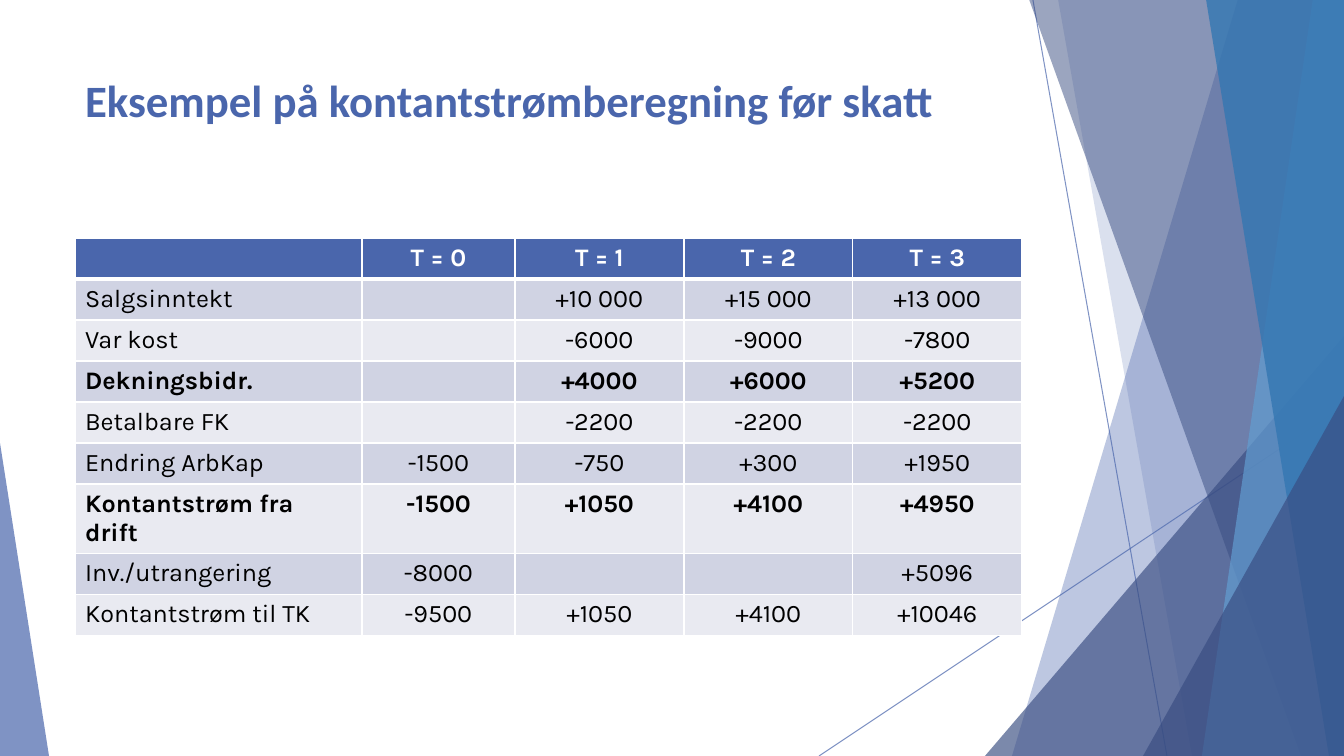
from dataclasses import dataclass

from lxml.etree import SubElement
from pptx import Presentation
from pptx.dml.color import RGBColor
from pptx.enum.shapes import MSO_CONNECTOR, MSO_SHAPE
from pptx.enum.text import MSO_ANCHOR, PP_ALIGN
from pptx.oxml.ns import qn
from pptx.util import Pt

WIDTH, HEIGHT = 1344, 756
PX = 12192000 / WIDTH


@dataclass(frozen=True)
class Theme:
    accent: str = "4A66AC"
    navy: str = "384C81"
    sky: str = "629DD1"
    ocean: str = "3477B2"
    band_dark: str = "D0D3E3"
    band_light: str = "E9EAF1"
    white: str = "FFFFFF"
    black: str = "000000"
    title_font: str = "Calibri"
    table_font: str = "Karla"
    title_size: int = 32
    table_size: int = 18


THEME = Theme()

COLUMN_WIDTHS = (287, 153, 169, 169, 169)
ROW_HEIGHT = 41
CASH_FLOW = (
    ("", "T = 0", "T = 1", "T = 2", "T = 3"),
    ("Salgsinntekt", "", "+10 000", "+15 000", "+13 000"),
    ("Var kost", "", "-6000", "-9000", "-7800"),
    ("Dekningsbidr.", "", "+4000", "+6000", "+5200"),
    ("Betalbare FK", "", "-2200", "-2200", "-2200"),
    ("Endring ArbKap", "-1500", "-750", "+300", "+1950"),
    ("Kontantstrøm fra drift", "-1500", "+1050", "+4100", "+4950"),
    ("Inv./utrangering", "-8000", "", "", "+5096"),
    ("Kontantstrøm til TK", "-9500", "+1050", "+4100", "+10046"),
)
BOLD_ROWS = (0, 3, 6)


def px(length):
    return round(length * PX)


def rgb(color):
    return RGBColor.from_string(color)


def set_opacity(shape, percent):
    for color in shape.element.spPr.iter(qn("a:srgbClr")):
        SubElement(color, qn("a:alpha"), val=str(percent * 1000))


def fill_facet(shape, color, opacity):
    shape.shadow.inherit = False
    shape.fill.solid()
    shape.fill.fore_color.rgb = rgb(color)
    shape.line.fill.background()
    set_opacity(shape, opacity)


def add_ray(slide, start, end):
    ends = [px(value) for value in (*start, *end)]
    ray = slide.shapes.add_connector(MSO_CONNECTOR.STRAIGHT, *ends)
    ray.line.color.rgb = rgb(THEME.accent)
    ray.line.width = Pt(0.75)
    set_opacity(ray, 70)
    SubElement(ray.element.spPr, qn("a:effectLst"))


def add_facet(slide, top_left, bottom_left, color, opacity):
    builder = slide.shapes.build_freeform(top_left, -1, scale=PX)
    builder.add_line_segments([(WIDTH, -1), (WIDTH, HEIGHT), (bottom_left, HEIGHT)])
    fill_facet(builder.convert_to_shape(), color, opacity)


def add_corner(slide, left, top, width, apex, color, opacity):
    box = [px(value) for value in (left, top, width, HEIGHT - top)]
    corner = slide.shapes.add_shape(MSO_SHAPE.ISOSCELES_TRIANGLE, *box)
    corner.adjustments[0] = apex
    fill_facet(corner, color, opacity)


def add_backdrop(slide):
    add_ray(slide, (1033, 0), (1167, HEIGHT))
    add_ray(slide, (WIDTH, 406), (819, HEIGHT))
    add_facet(slide, 1238, 1012, THEME.accent, 36)
    add_facet(slide, 1058, 1192, THEME.accent, 20)
    add_corner(slide, 985, 336, 359, 1, THEME.navy, 66)
    add_facet(slide, 1029, 1301, THEME.navy, 50)
    add_facet(slide, 1313, 1202, THEME.sky, 70)
    add_facet(slide, 1206, 1329, THEME.ocean, 80)
    add_corner(slide, 1143, 396, 201, 1, THEME.navy, 66)
    add_corner(slide, 0, 443, 49, 0, THEME.accent, 70)


def add_run(paragraph, text, font, size, color, bold):
    run = paragraph.add_run()
    run.text = text
    run.font.name = font
    run.font.size = Pt(size)
    run.font.color.rgb = rgb(color)
    run.font.bold = bold


def add_title(slide, text):
    title = slide.shapes.title
    title.left, title.top, title.width, title.height = map(px, (75, 68, 947, 145))
    title.element.getparent().append(title.element)
    frame = title.text_frame
    frame.word_wrap = True
    frame.vertical_anchor = MSO_ANCHOR.TOP
    paragraph = frame.paragraphs[0]
    paragraph.alignment = PP_ALIGN.LEFT
    add_run(paragraph, text, THEME.title_font, THEME.title_size, THEME.accent, True)


def add_borders(cell, bottom_width):
    properties = cell._tc.get_or_add_tcPr()
    widths = {"a:lnL": 1, "a:lnR": 1, "a:lnT": 1, "a:lnB": bottom_width}
    for position, (tag, width) in enumerate(widths.items()):
        border = SubElement(properties, qn(tag), w=str(Pt(width)))
        fill = SubElement(border, qn("a:solidFill"))
        SubElement(fill, qn("a:srgbClr"), val=THEME.white)
        properties.insert(position, border)


def format_cell(cell, text, row, column):
    header = row == 0
    band = THEME.band_dark if row % 2 else THEME.band_light
    cell.fill.solid()
    cell.fill.fore_color.rgb = rgb(THEME.accent if header else band)
    add_borders(cell, 3 if header else 1)
    paragraph = cell.text_frame.paragraphs[0]
    paragraph.alignment = PP_ALIGN.CENTER if column else PP_ALIGN.LEFT
    if text:
        color = THEME.white if header else THEME.black
        add_run(paragraph, text, THEME.table_font, THEME.table_size, color, row in BOLD_ROWS)


def add_cash_flow_table(slide):
    box = (75, 238, sum(COLUMN_WIDTHS), ROW_HEIGHT * len(CASH_FLOW))
    frame = slide.shapes.add_table(len(CASH_FLOW), len(COLUMN_WIDTHS), *map(px, box))
    table = frame.table
    for column, width in zip(table.columns, COLUMN_WIDTHS):
        column.width = px(width)
    for row, texts in enumerate(CASH_FLOW):
        table.rows[row].height = px(ROW_HEIGHT)
        for column, text in enumerate(texts):
            format_cell(table.cell(row, column), text, row, column)


def main():
    presentation = Presentation()
    presentation.slide_width = px(WIDTH)
    presentation.slide_height = px(HEIGHT)
    slide = presentation.slides.add_slide(presentation.slide_layouts[5])
    add_backdrop(slide)
    add_title(slide, "Eksempel på kontantstrømberegning før skatt")
    add_cash_flow_table(slide)
    presentation.save("out.pptx")


if __name__ == "__main__":
    main()
